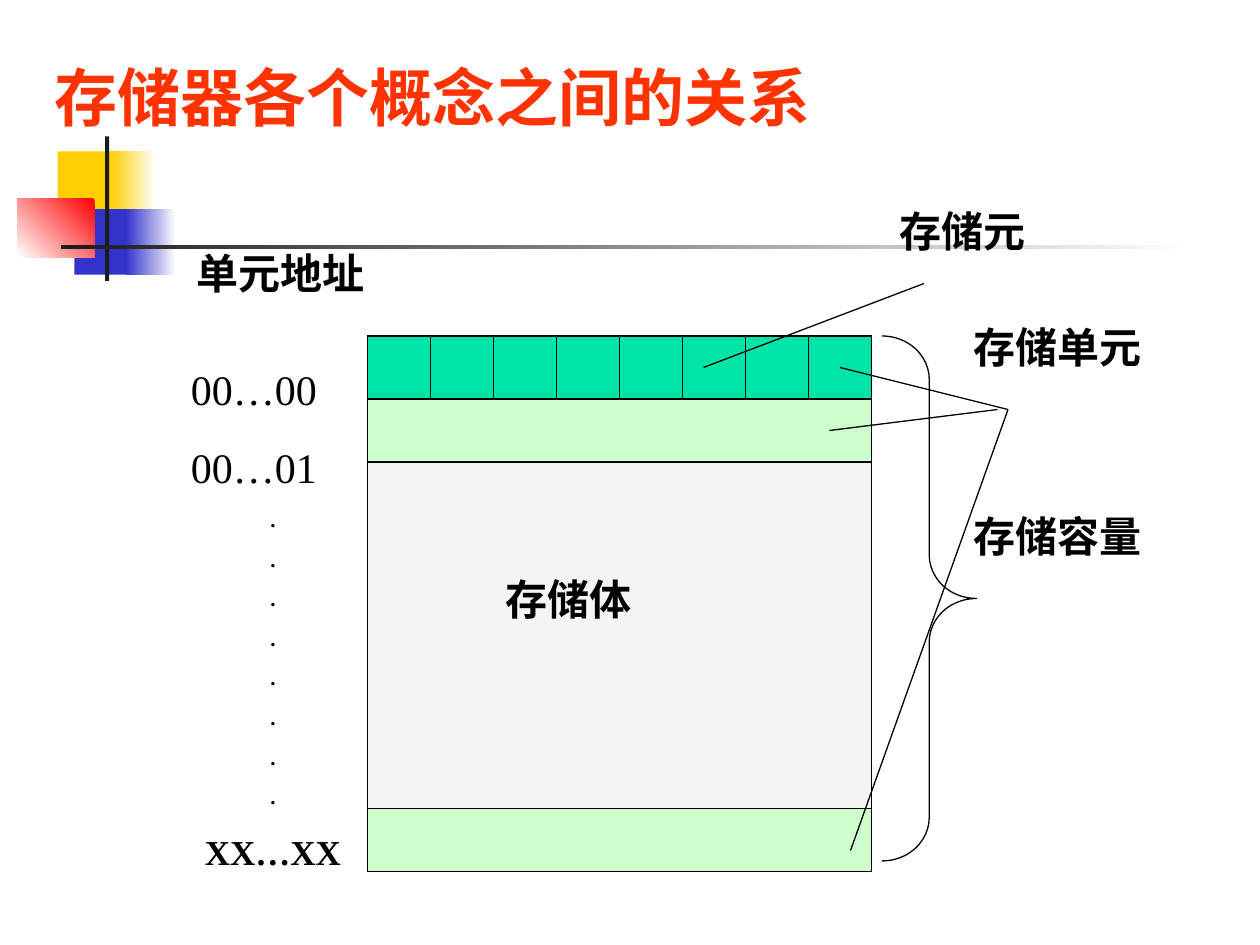
"""Build a slide on how the parts of a memory relate to each other."""
from pptx import Presentation
from pptx.dml.color import RGBColor as RGB
from pptx.enum.shapes import MSO_CONNECTOR as LINK, MSO_SHAPE as SHAPE
from pptx.enum.text import MSO_ANCHOR as ANCHOR, MSO_AUTO_SIZE as FIT, PP_ALIGN as ALIGN
from pptx.oxml.ns import qn
from pptx.util import Pt
from lxml.etree import SubElement

BLACK = RGB(0, 0, 0)
WHITE = RGB(255, 255, 255)
DARK = RGB(0x1C, 0x1C, 0x1C)
GOLD = RGB(0xFF, 0xCF, 0x01)
BLUE = RGB(0x33, 0x33, 0xCC)
RED = RGB(0xFF, 0, 0)
ORANGE = RGB(0xFF, 0x33, 0)
GREY = RGB(0xEA, 0xEA, 0xEA)
GREEN = RGB(0, 0xE4, 0xA8)
PALE = RGB(0xCC, 0xFF, 0xCC)
SERIF = "Times New Roman"

deck = Presentation()
deck.slide_width, deck.slide_height = Pt(720), Pt(540)
slide = deck.slides.add_slide(deck.slide_layouts[5])
shapes = slide.shapes


def add_box(x, y, w, h, fill, line=None, kind=SHAPE.RECTANGLE):
    box = shapes.add_shape(kind, Pt(x), Pt(y), Pt(w), Pt(h))
    box.shadow.inherit = False
    if fill is None:
        box.fill.background()
    else:
        box.fill.solid()
        box.fill.fore_color.rgb = fill
    if line is None:
        box.line.fill.background()
    else:
        box.line.color.rgb = line
        box.line.width = Pt(0.75)
    return box


def style(para, size, bold, color=BLACK, name=SERIF):
    for run in para.runs:
        font = run.font
        font.size, font.bold, font.name = Pt(size), bold, name
        font.color.rgb = color


decor = [
    (33, 86.5, 34.5, 37.5, GOLD, None, 0),
    (63, 86.5, 26, 37.5, WHITE, GOLD, 180),
    (42.5, 119.5, 33.5, 37.5, BLUE, None, 0),
    (72, 119.5, 28.5, 37.5, WHITE, BLUE, 180),
    (10, 113.5, 44, 33.5, RED, WHITE, 225),
    (60, 78, 2.4, 82.5, DARK, None, 0),
    (34.8, 140, 648, 2.4, WHITE, DARK, 180),
]
for x, y, w, h, start, end, angle in decor:
    box = add_box(x, y, w, h, start)
    if end is not None:
        box.fill.gradient()
        box.fill.gradient_angle = angle
        for stop, color in zip(box.fill.gradient_stops, (start, end)):
            stop.color.rgb = color

title = shapes.title
title.left, title.top, title.width, title.height = Pt(24), Pt(30), Pt(672), Pt(54)
frame = title.text_frame
frame.text = "存储器各个概念之间的关系"
frame.auto_size = FIT.NONE
frame.vertical_anchor = ANCHOR.TOP
frame.paragraphs[0].alignment = ALIGN.LEFT
style(frame.paragraphs[0], 36, True, ORANGE, "Roboto")

left, top, unit = 210, 192, 36
body = add_box(left, top, 8 * unit, 306, GREY, BLACK)
tint = body.fill._xPr.find(".//" + qn("a:srgbClr"))
SubElement(tint, qn("a:alpha"), val="50000")
for col in range(8):
    add_box(left + col * unit, top, unit, unit, GREEN, BLACK)
for y in (top + unit, 462):
    add_box(left, y, 8 * unit, unit, PALE, BLACK)

lines = [
    (474, 246, 570, 234),
    (480, 210, 576, 234),
    (486, 486, 576, 234),
    (402, 210, 528, 162),
]
for x1, y1, x2, y2 in lines:
    line = shapes.add_connector(LINK.STRAIGHT, Pt(x1), Pt(y1), Pt(x2), Pt(y2))
    line.line.color.rgb = BLACK
    line.line.width = Pt(0.75)
    SubElement(line._element.spPr, qn("a:effectLst"))

brace = add_box(504, 192, 54, 300, None, BLACK, SHAPE.RIGHT_BRACE)
brace.adjustments[0] = 0.46

title_row = ("单元地址", 24, True, 0, ALIGN.LEFT)
address = [
    ("00…00", 24, False, 0, ALIGN.LEFT),
    ("00…01", 24, False, 16, ALIGN.LEFT),
    *[(".", 12, True, 8.25, ALIGN.CENTER)] * 8,
    ("XX…XX", 20, True, 12.5, ALIGN.CENTER),
]
labels = [
    (105, 138, 162, 36, [title_row]),
    (102, 204, 108, 292, address),
    (549, 180, 144, 36, [("存储单元", *title_row[1:])]),
    (507, 114, 162, 36, [("存储元", *title_row[1:])]),
    (549, 288, 171, 36, [("存储容量", *title_row[1:])]),
    (282, 324, 180, 36, [("存储体", *title_row[1:])]),
]
for x, y, w, h, rows in labels:
    frame = shapes.add_textbox(Pt(x), Pt(y), Pt(w), Pt(h)).text_frame
    frame.word_wrap = True
    frame.text = "\n".join(row[0] for row in rows)
    for para, (_, size, bold, space, align) in zip(frame.paragraphs, rows):
        para.alignment = align
        para.space_before = Pt(space)
        style(para, size, bold)

deck.save("out.pptx")
